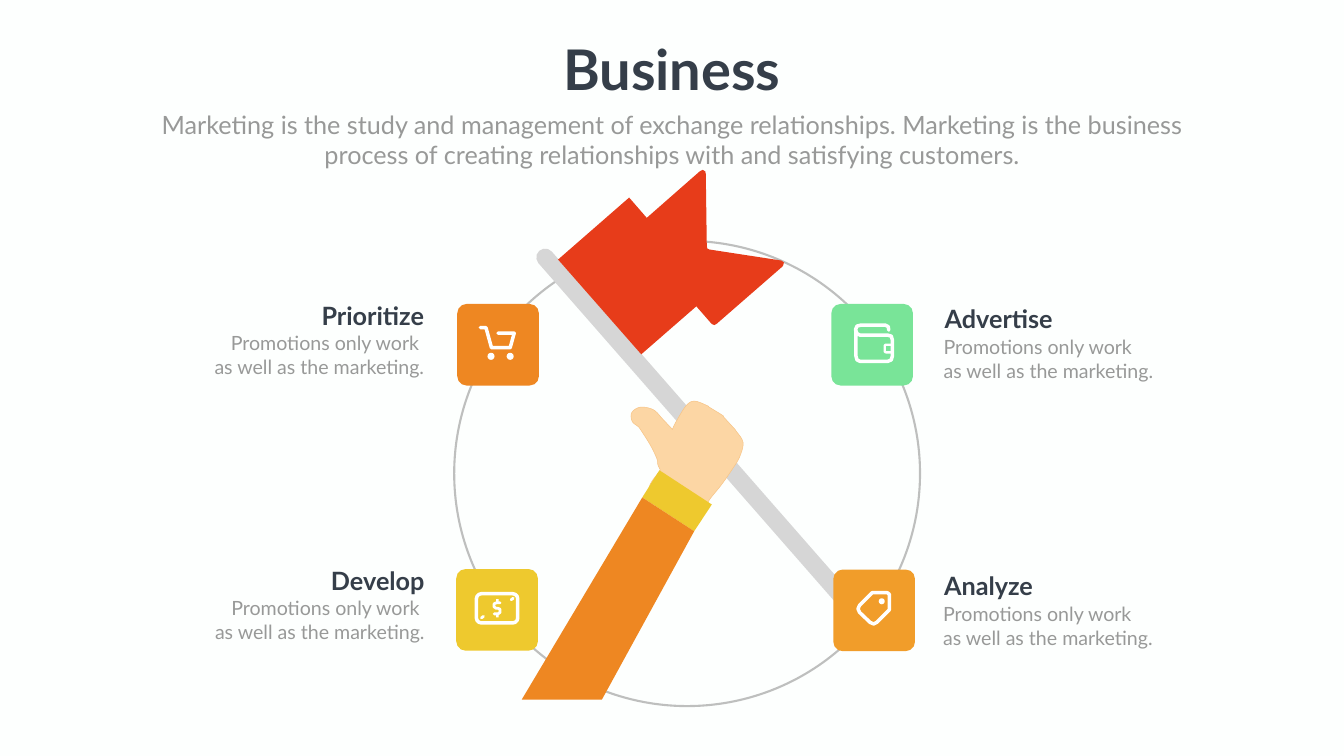
from lxml import etree
from pptx import Presentation
from pptx.dml.color import RGBColor
from pptx.enum import shapes as kinds, text as txt
from pptx.oxml.ns import qn
from pptx.util import Inches, Pt

PAPER = RGBColor(0xFD, 0xFF, 0xFE)
WHITE = RGBColor(0xFF, 0xFF, 0xFF)
INK = RGBColor(0x35, 0x3E, 0x49)
MUTED = RGBColor(0x98, 0x99, 0x98)
RING = RGBColor(0x80, 0x80, 0x80)
POLE = RGBColor(0xD6, 0xD6, 0xD6)
RED = RGBColor(0xE7, 0x3C, 0x1A)
SKIN = RGBColor(0xFC, 0xD6, 0xA4)
SKIN_EDGE = RGBColor(0xF7, 0xC4, 0x86)
ORANGE = RGBColor(0xEE, 0x87, 0x22)
AMBER = RGBColor(0xF1, 0x9D, 0x2A)
YELLOW = RGBColor(0xEE, 0xC9, 0x2E)
GREEN = RGBColor(0x79, 0xE4, 0x98)

OVAL = kinds.MSO_SHAPE.OVAL
RECT = kinds.MSO_SHAPE.RECTANGLE
ROUNDED = kinds.MSO_SHAPE.ROUNDED_RECTANGLE
LEFT, CENTER, RIGHT = txt.PP_ALIGN.LEFT, txt.PP_ALIGN.CENTER, txt.PP_ALIGN.RIGHT

FLAG_TAIL = [(12.54, 4.59), (12.57, 4.55), (13.88, 3.4), (13.94, 3.37), (13.99, 3.4),
             (14, 3.45), (14.02, 4.88), (14.03, 4.93), (14.07, 4.95), (15.5, 5.17),
             (15.55, 5.21), (15.53, 5.28), (14.21, 6.43), (14.17, 6.45), (14.12, 6.43),
             (12.56, 4.64)]
FLAG_BODY = [(14.12, 5.81), (12.72, 7.03), (11.07, 5.15), (12.48, 3.92)]
HAND = [(13.34, 8.51), (13.41, 8.37), (13.61, 8.05), (13.78, 7.96), (14.03, 8.05),
        (14.07, 8.08), (14.33, 8.24), (14.36, 8.28), (14.57, 8.51), (14.6, 8.55),
        (14.74, 8.78), (14.67, 9.07), (14.52, 9.32), (14.31, 9.62), (14.07, 9.92),
        (14.02, 10.06), (13.86, 10.3), (13.57, 10.36), (12.95, 9.93), (12.88, 9.66),
        (13.06, 9.38), (13.1, 9.34), (13.05, 9.22), (13.03, 9.1), (12.9, 8.83),
        (12.69, 8.5), (12.64, 8.45), (12.54, 8.36), (12.53, 8.19), (12.7, 8.08),
        (12.96, 8.13), (13.14, 8.31), (13.32, 8.5)]
CUFF = [(13.77, 10.54), (14.12, 10.01), (13.08, 9.33), (12.74, 9.87)]
SLEEVE = [(13.77, 10.54), (11.94, 13.88), (10.35, 13.88), (12.74, 9.87)]

CART = [(9.53, 6.5), (9.64, 6.5), (9.75, 6.9), (10.12, 6.9), (10.2, 6.61), (9.88, 6.61)]
DOLLAR = [(9.92, 11.96), (9.85, 11.96), (9.8, 11.98), (9.8, 12.04), (9.84, 12.07),
          (9.88, 12.07), (9.92, 12.09), (9.92, 12.15), (9.88, 12.18), (9.8, 12.18)]
TAG = [(17.3, 11.76), (17.6, 11.76), (17.64, 11.79), (17.64, 12.1), (17.39, 12.35),
       (17.33, 12.38), (17.26, 12.35), (17.05, 12.15), (17.02, 12.08), (17.05, 12.01)]
WALLET = [(16.98, 6.56), (16.98, 7.07), (17, 7.14), (17.06, 7.17), (17.61, 7.17),
          (17.68, 7.14), (17.7, 7.07), (17.7, 6.74), (17.68, 6.67), (17.61, 6.65),
          (17.06, 6.65), (17, 6.62), (16.97, 6.54), (17, 6.47), (17.08, 6.45),
          (17.56, 6.45), (17.62, 6.48), (17.63, 6.55)]


def paint(shape, fill=None, line=None, width=0.75):
    shape.shadow.inherit = False
    if fill is None:
        shape.fill.background()
    else:
        shape.fill.solid()
        shape.fill.fore_color.rgb = fill
    if line is None:
        shape.line.fill.background()
    else:
        shape.line.color.rgb = line
        shape.line.width = Pt(width)
    return shape


def preset(slide, kind, x, y, w, h, rounding=0.0, **colours):
    shape = slide.shapes.add_shape(kind, Inches(x), Inches(y), Inches(w), Inches(h))
    if kind == ROUNDED:
        shape.adjustments[0] = rounding
    return paint(shape, **colours)


def outline(slide, points, close=True, **colours):
    corners = [(Inches(x), Inches(y)) for x, y in points]
    builder = slide.shapes.build_freeform(*corners[0])
    builder.add_line_segments(corners[1:], close=close)
    return paint(builder.convert_to_shape(), **colours)


def stroke(slide, points, width=5, close=False):
    shape = outline(slide, points, close, line=WHITE, width=width)
    line = shape.line._get_or_add_ln()
    line.set("cap", "rnd")
    etree.SubElement(line, qn("a:round"))


def smooth(points, steps=5):
    curve = []
    for i, b in enumerate(points):
        a, c, d = points[i - 1], points[(i + 1) % len(points)], points[(i + 2) % len(points)]
        for t in (step / steps for step in range(steps)):
            curve.append(tuple(
                q + 0.5 * t * (r - p + t * (2 * p - 5 * q + 4 * r - s + t * (3 * (q - r) + s - p)))
                for p, q, r, s in zip(a, b, c, d)))
    return curve


def write(slide, x, y, w, h, lines, size, colour, align, bold=False, wrap=True):
    box = slide.shapes.add_textbox(Inches(x), Inches(y), Inches(w), Inches(h))
    frame = box.text_frame
    frame.word_wrap = wrap
    frame.auto_size = txt.MSO_AUTO_SIZE.SHAPE_TO_FIT_TEXT
    frame.text = "\n".join(lines)
    for paragraph in frame.paragraphs:
        paragraph.alignment = align
        font = paragraph.font
        font.name, font.size, font.bold = "Lato", Pt(size), bold
        font.color.rgb = colour


def draw_ring(slide):
    ring = preset(slide, OVAL, 9.01, 4.78, 9.24, 9.23, line=RING, width=3)
    colour = ring.line._get_or_add_ln().find(".//" + qn("a:srgbClr"))
    etree.SubElement(colour, qn("a:alpha"), val="50000")


def draw_flag_and_arm(slide):
    pole = preset(slide, ROUNDED, 9.07, 8.39, 9.54, 0.35, 0.5, fill=POLE)
    pole.rotation = 48.8
    outline(slide, FLAG_TAIL, fill=RED)
    outline(slide, FLAG_BODY, fill=RED)
    outline(slide, smooth(HAND), fill=SKIN, line=SKIN_EDGE)
    outline(slide, CUFF, fill=YELLOW)
    outline(slide, SLEEVE, fill=ORANGE)


def draw_icons(slide):
    stroke(slide, CART)
    for x in (9.67, 10.05):
        preset(slide, OVAL, x, 7, 0.14, 0.14, fill=WHITE)

    preset(slide, ROUNDED, 9.45, 11.78, 0.82, 0.58, 0.17, line=WHITE, width=5)
    stroke(slide, DOLLAR, 4)
    for y, h in ((11.89, 0.06), (12.17, 0.08)):
        preset(slide, RECT, 9.84, y, 0.05, h, fill=WHITE)
    for x, y in ((10.14, 11.9), (9.55, 12.26)):
        stroke(slide, [(x, y), (x + 0.04, y - 0.03)], 4)

    stroke(slide, TAG, close=True)
    preset(slide, OVAL, 17.43, 11.87, 0.12, 0.12, fill=WHITE)

    stroke(slide, WALLET)
    preset(slide, ROUNDED, 17.55, 6.84, 0.15, 0.15, 0.17, line=WHITE, width=3.5)


def draw_step(slide, title, colour, tile, label, align):
    preset(slide, ROUNDED, *tile, 1.62, 1.62, 0.115, fill=colour)
    x, y = label
    first = "Promotions only work"
    if align == RIGHT:
        first += " "
        heading, body = (x - 3.16, y, 3.16, 0.71), (x - 5.61, y + 0.61, 5.61, 1.51)
    else:
        heading, body = (x, y, 2.89, 0.71), (x - 0.02, y + 0.64, 5.13, 1.99)
    write(slide, *heading, [title], 36, INK, align, bold=True)
    write(slide, *body, [first, "as well as the marketing."], 28, MUTED, align)


def main():
    deck = Presentation()
    deck.slide_width, deck.slide_height = Inches(26.66), Inches(15)
    slide = deck.slides.add_slide(deck.slide_layouts[6])
    slide.background.fill.solid()
    slide.background.fill.fore_color.rgb = PAPER

    draw_ring(slide)
    draw_flag_and_arm(slide)
    for step in (
        ("Prioritize", ORANGE, (9.07, 6.03), (8.51, 5.91), RIGHT),
        ("Develop", YELLOW, (9.05, 11.29), (8.52, 11.17), RIGHT),
        ("Analyze", AMBER, (16.53, 11.3), (18.63, 11.26), LEFT),
        ("Advertise", GREEN, (16.49, 6.03), (18.64, 5.96), LEFT),
    ):
        draw_step(slide, *step)
    draw_icons(slide)

    write(slide, 11.03, 0.63, 4.6, 1.45, ["Business"], 80, INK, CENTER, bold=True, wrap=False)
    write(slide, 2.92, 2.11, 20.82, 1.31,
          ["Marketing is the study and management of exchange relationships. "
           "Marketing is the business process of creating relationships with "
           "and satisfying customers."], 36, MUTED, CENTER)
    deck.save("out.pptx")


if __name__ == "__main__":
    main()
